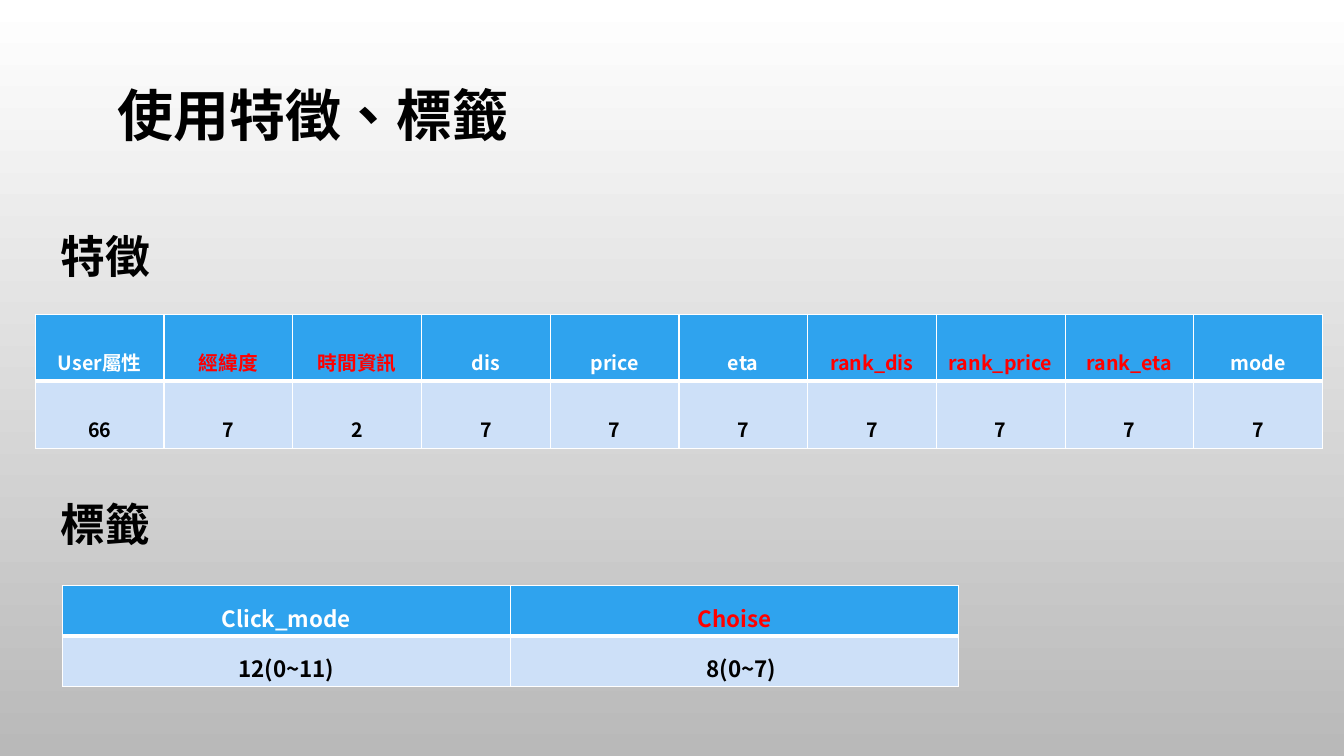
import pptx
import pptx.dml.color
import pptx.enum.text
import pptx.oxml
import pptx.oxml.ns
import pptx.util
from pptx.util import Cm

RGBColor = pptx.dml.color.RGBColor
WHITE = RGBColor(0xFF, 0xFF, 0xFF)
BLACK = RGBColor(0x00, 0x00, 0x00)
RED = RGBColor(0xFF, 0x00, 0x00)
GREY = RGBColor(0xB9, 0xB9, 0xB9)
HEADER_BLUE = RGBColor(0x2F, 0xA3, 0xEE)
BODY_BLUE = RGBColor(0xCD, 0xE0, 0xF8)
FONT = "Noto Sans CJK SC"


def write(text_frame, text, size, color, **paragraph_format):
    text_frame.text = text
    paragraph = text_frame.paragraphs[0]
    for name, value in paragraph_format.items():
        setattr(paragraph, name, value)
    for run in paragraph.runs:
        font_format = {"name": FONT, "size": pptx.util.Pt(size), "bold": True}
        for name, value in font_format.items():
            setattr(run.font, name, value)
        run.font.color.rgb = color
        run.font._element.set("lang", "zh-TW")
        east_asian = pptx.oxml.parse_xml(
            f'<a:ea {pptx.oxml.ns.nsdecls("a")} typeface="{FONT}"/>')
        run.font._element.find(pptx.oxml.ns.qn("a:latin")).addnext(east_asian)


def set_borders(cell, widths):
    properties = cell._tc.get_or_add_tcPr()
    for index, (side, width) in enumerate(widths.items()):
        border = pptx.oxml.parse_xml(
            f'<a:ln{side} {pptx.oxml.ns.nsdecls("a")} w="{pptx.util.Pt(width)}">'
            f'<a:solidFill><a:srgbClr val="{WHITE}"/></a:solidFill></a:ln{side}>')
        properties.insert(index, border)


presentation = pptx.Presentation()
presentation.slide_width = Cm(33.87)
presentation.slide_height = Cm(19.05)
slide = presentation.slides.add_slide(presentation.slide_layouts[5])

# Background gradient from top to bottom
background = slide.background.fill
background.gradient()
background.gradient_angle = 270
for stop, position, color in zip(background.gradient_stops, (0, 1), (WHITE, GREY)):
    stop.position = position
    stop.color.rgb = color

# Title, with its closing line break
title = slide.shapes.title
title_box = {"left": Cm(2.7), "top": Cm(2.88), "width": Cm(28.78), "height": Cm(2.08)}
for name, value in title_box.items():
    setattr(title, name, value)
title.text_frame.auto_size = pptx.enum.text.MSO_AUTO_SIZE.NONE
title.text_frame.vertical_anchor = pptx.enum.text.MSO_ANCHOR.MIDDLE
write(title.text_frame, "使用特徵、標籤\v", 40, BLACK,
      alignment=pptx.enum.text.PP_ALIGN.LEFT, line_spacing=0.9)

# Section headings
for heading, top in (("特徵", 5.64), ("標籤", 12.4)):
    textbox = slide.shapes.add_textbox(Cm(1.28), Cm(top), Cm(2.79), Cm(1.63))
    textbox.text_frame.word_wrap = False
    textbox.text_frame.auto_size = pptx.enum.text.MSO_AUTO_SIZE.SHAPE_TO_FIT_TEXT
    write(textbox.text_frame, heading, 32, BLACK)

# Feature and label tables
tables = [
    {"left": 0.89, "top": 7.92, "width": 32.44, "row_heights": (1.68, 1.7),
     "size": 14, "spacing": 2.0, "margin": 0.13,
     "rows": [["User屬性", "經緯度", "時間資訊", "dis", "price", "eta",
               "rank_dis", "rank_price", "rank_eta", "mode"],
              ["66", "7", "2"] + ["7"] * 7]},
    {"left": 1.57, "top": 14.76, "width": 22.58, "row_heights": (1.26, 1.28),
     "size": 16, "spacing": 1.5, "margin": 0,
     "rows": [["Click_mode", "Choise"], ["12(0~11)", "8(0~7)"]]},
]
red_headers = {"經緯度", "時間資訊", "rank_dis", "rank_price", "rank_eta", "Choise"}

for layout in tables:
    rows = layout["rows"]
    table = slide.shapes.add_table(
        len(rows), len(rows[0]), Cm(layout["left"]), Cm(layout["top"]),
        Cm(layout["width"]), Cm(sum(layout["row_heights"]))).table
    table.horz_banding = False
    for row_index, values in enumerate(rows):
        is_header = row_index == 0
        table.rows[row_index].height = Cm(layout["row_heights"][row_index])
        for column_index, value in enumerate(values):
            cell = table.cell(row_index, column_index)
            cell.margin_top = cell.margin_bottom = Cm(layout["margin"])
            cell.fill.solid()
            cell.fill.fore_color.rgb = HEADER_BLUE if is_header else BODY_BLUE
            set_borders(cell, {"L": 1, "R": 1, "T": 1 if is_header else 3,
                               "B": 3 if is_header else 1})
            header_color = RED if value in red_headers else WHITE
            write(cell.text_frame, value, layout["size"],
                  header_color if is_header else BLACK,
                  alignment=pptx.enum.text.PP_ALIGN.CENTER,
                  line_spacing=layout["spacing"])

# The last label value sits slightly right of centre
table.cell(1, 1).margin_left = Cm(0.61)

presentation.save("out.pptx")
